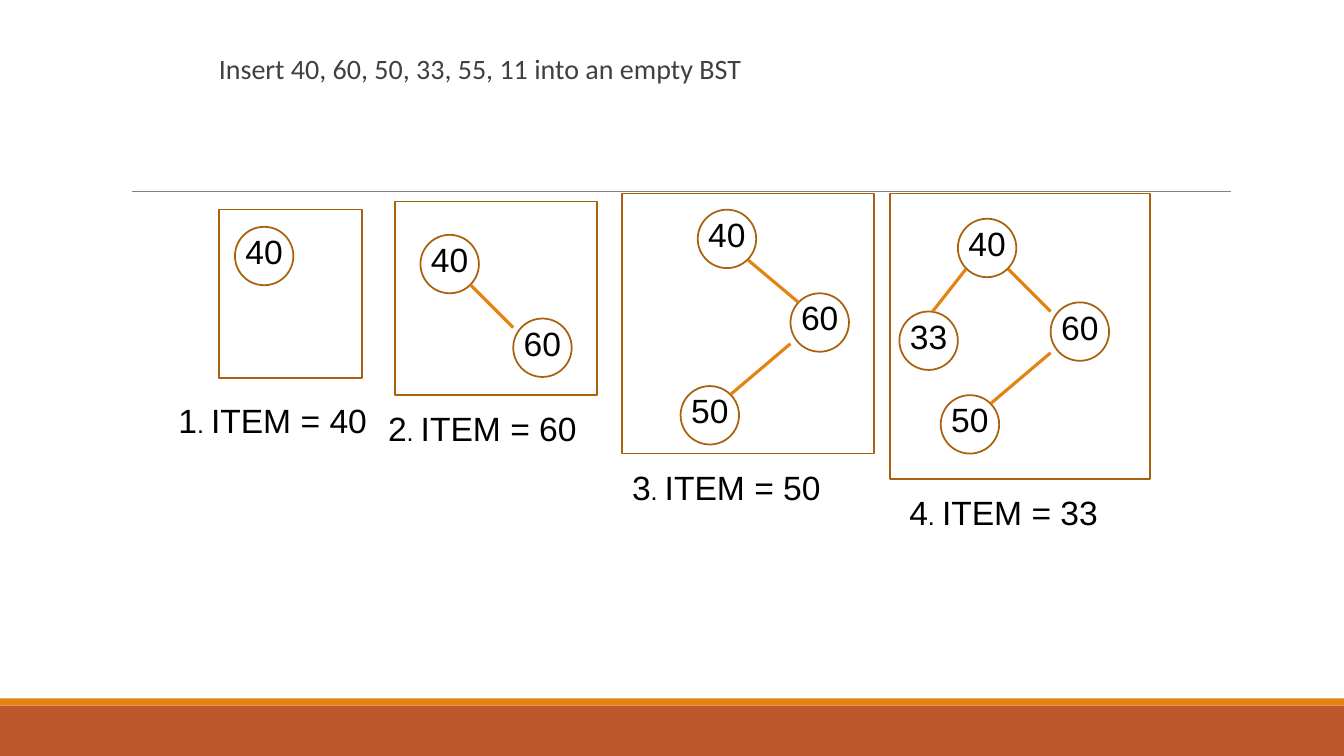
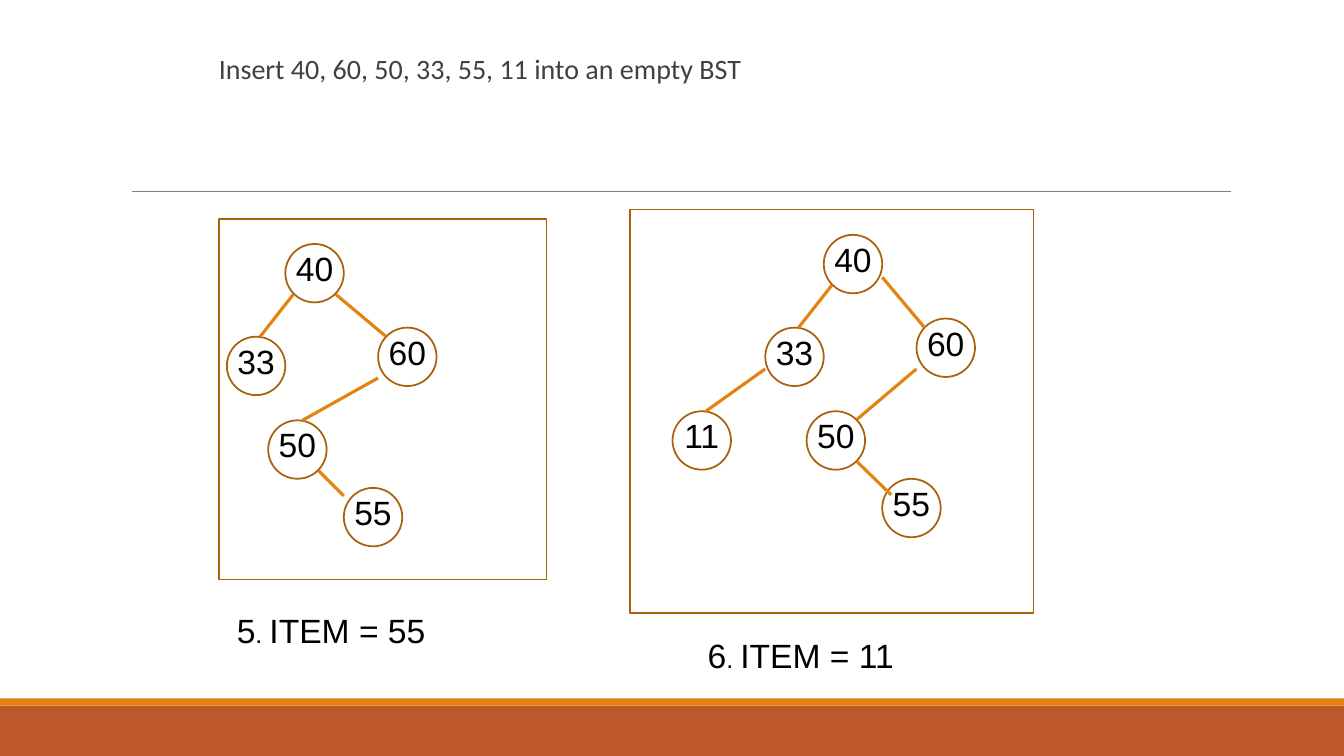
from lxml import etree
from pptx import Presentation
from pptx import util as u
from pptx.dml.color import RGBColor
from pptx.enum import shapes, text
from pptx.oxml import ns

HUES = {"rust": "BD582C", "orange": "E48312", "brown": "A9610D",
        "gray": "808080", "title": "404040", "black": "000000"}

KEYS = [40, 60, 50, 33, 55, 11]
NODE = 0.58

# Node places and the edges that lead to them, measured from the root node
SPOTS = {40: (0, 0), 60: (0.92, 0.83), 50: (-0.17, 1.75),
         33: (-0.58, 0.92), 55: (0.58, 2.42), 11: (-1.5, 1.75)}
EDGES = {60: (0.5, 0.5, 1, 0.92), 50: (0.92, 1.33, 0.33, 1.83),
         33: (0.08, 0.5, -0.25, 0.92), 55: (0.33, 2.25, 0.58, 2.5),
         11: (-0.58, 1.33, -1.17, 1.75)}
SHORT = {60: (0.5, 0.5, 0.92, 0.92)}

# Each slide: (step, root, frame, caption place, edges that differ)
SLIDES = [
    [(1, (2.33, 2.25), (2.17, 2.08, 1.42, 1.67), (1.67, 3.92), {}),
     (2, (4.17, 2.33), (3.92, 2, 2, 1.92), (3.75, 4), SHORT),
     (3, (6.92, 2.08), (6.17, 1.92, 2.5, 2.58), (6.17, 4.58), {}),
     (4, (9.5, 2.17), (8.83, 1.92, 2.58, 2.83), (8.92, 4.83), SHORT)],
    [(5, (2.83, 2.42), (2.17, 2.17, 3.25, 3.58), (2.25, 6),
      {50: (0.92, 1.33, 0.17, 1.75)}),
     (6, (8.17, 2.33), (6.25, 2.08, 4, 4), (6.92, 6.25),
      {60: (0.58, 0.42, 1, 0.92), 55: (0.33, 2.25, 0.67, 2.58)})],
]


def hue(name):
    return RGBColor.from_string(HUES[name])


def inch(*sizes):
    return [u.Inches(size) for size in sizes]


def write(shape, runs, font="Arial", color="black", align=text.PP_ALIGN.LEFT,
          anchor=text.MSO_ANCHOR.TOP, pads=(0.1, 0.05, 0.1, 0.05),
          wrap=True, space=1.0):
    """Fill a shape with one paragraph of (words, size) runs."""
    frame = shape.text_frame
    frame.word_wrap = wrap
    frame.vertical_anchor = anchor
    (frame.margin_left, frame.margin_top,
     frame.margin_right, frame.margin_bottom) = inch(*pads)
    para = frame.paragraphs[0]
    para.alignment = align
    para.line_spacing = space
    for words, size in runs:
        run = para.add_run()
        run.text = words
        run.font.size = u.Pt(size)
        run.font.name = font
        run.font.color.rgb = hue(color)


def label(slide, box, runs, **style):
    write(slide.shapes.add_textbox(*inch(*box)), runs, **style)


def draw(slide, kind, box, fill=None, line=None):
    shape = slide.shapes.add_shape(kind, *inch(*box))
    shape.shadow.inherit = False
    if fill:
        shape.fill.solid()
        shape.fill.fore_color.rgb = hue(fill)
    else:
        shape.fill.background()
    if line:
        shape.line.color.rgb = hue(line)
        shape.line.width = u.Pt(1.25)
    else:
        shape.line.fill.background()
    return shape


def rule(slide, ends, color, width):
    line = slide.shapes.add_connector(shapes.MSO_CONNECTOR.STRAIGHT, *inch(*ends))
    line.line.color.rgb = hue(color)
    line.line.width = u.Pt(width)
    etree.SubElement(line._element.spPr, ns.qn("a:effectLst"))


def base(slide):
    """Add the bands, title rule and title that every slide has."""
    rect = shapes.MSO_SHAPE.RECTANGLE
    draw(slide, rect, (0, 7, 13.33, 0.5), fill="rust")
    draw(slide, rect, (0, 6.93, 13.33, 0.07), fill="orange")
    rule(slide, (1.31, 1.9, 12.21, 1.9), "gray", 0.5)
    title = f"Insert {', '.join(map(str, KEYS))} into an empty BST"
    label(slide, (2.17, 0.5, 9.25, 0.5), [(title, 20)], font="Calibri",
          color="title", pads=(0, 0.05, 0, 0.05), space=0.9)


def node(slide, key, left, top):
    disc = draw(slide, shapes.MSO_SHAPE.OVAL, (left, top, NODE, NODE), line="brown")
    write(disc, [(str(key), 24)], align=text.PP_ALIGN.CENTER,
          anchor=text.MSO_ANCHOR.MIDDLE, pads=(0, 0, 0, 0.1), wrap=False)


def tree(slide, step, root, frame, place, moved):
    """Draw the tree after the given number of inserts."""
    left, top = root
    keys = KEYS[:step]
    draw(slide, shapes.MSO_SHAPE.RECTANGLE, frame, line="brown")
    for key in keys:
        across, down = SPOTS[key]
        node(slide, key, left + across, top + down)
    for key in keys[1:]:
        x1, y1, x2, y2 = moved.get(key, EDGES[key])
        rule(slide, (left + x1, top + y1, left + x2, top + y2), "orange", 2.25)
    label(slide, (*place, 2.25, 0.5),
          [(str(step), 24), (". ", 18), (f"ITEM = {keys[-1]}", 24)])


def main():
    deck = Presentation()
    deck.slide_width, deck.slide_height = inch(13.33, 7.5)
    for trees in SLIDES:
        slide = deck.slides.add_slide(deck.slide_layouts[6])
        base(slide)
        for item in trees:
            tree(slide, *item)
    deck.save("out.pptx")


if __name__ == "__main__":
    main()
